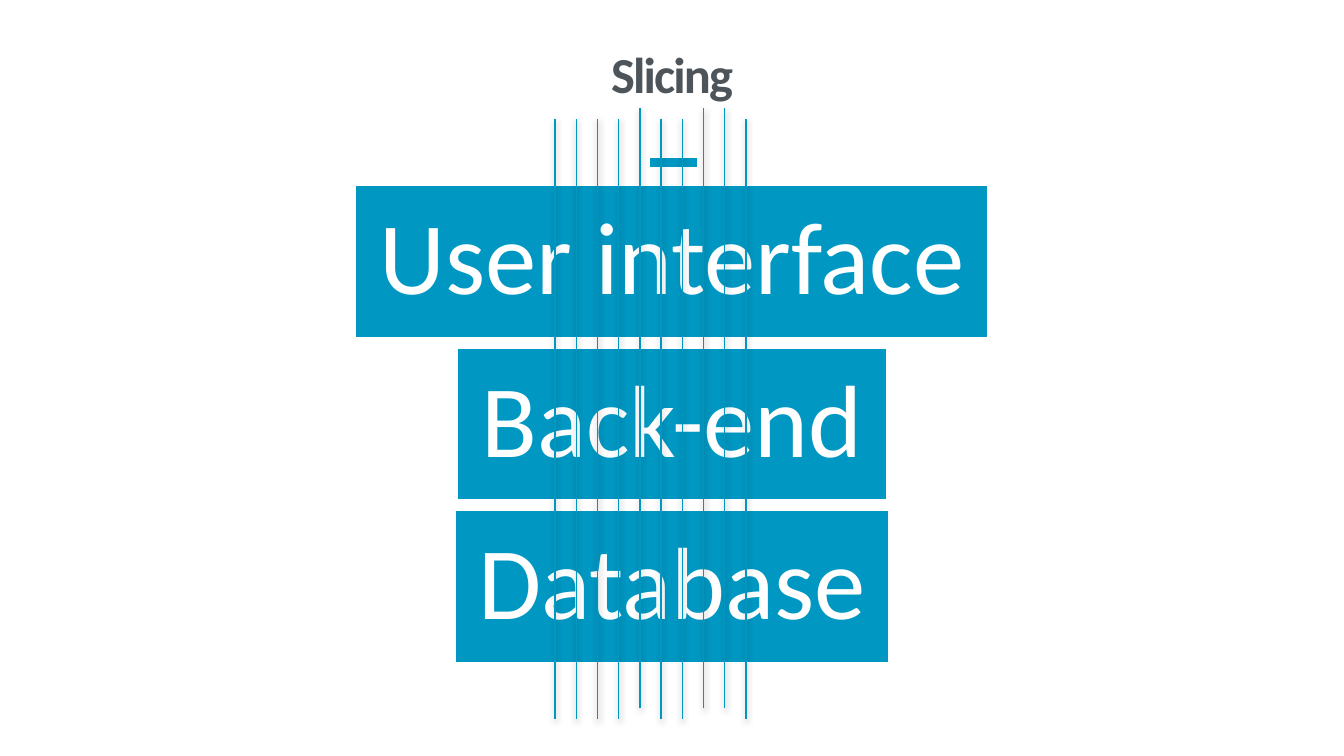
from lxml import etree
from pptx import Presentation
from pptx.dml.color import RGBColor
from pptx.enum.shapes import MSO_CONNECTOR, MSO_SHAPE
from pptx.enum.text import MSO_ANCHOR, MSO_AUTO_SIZE, PP_ALIGN
from pptx.oxml import parse_xml
from pptx.oxml.ns import nsdecls, qn
from pptx.util import Cm, Pt

STRAIGHT = MSO_CONNECTOR.STRAIGHT
RECTANGLE = MSO_SHAPE.RECTANGLE
BOTTOM, MIDDLE = MSO_ANCHOR.BOTTOM, MSO_ANCHOR.MIDDLE
NO_AUTOFIT = MSO_AUTO_SIZE.NONE
CENTER = PP_ALIGN.CENTER

FONT = "Calibri"
COLORS = {"accent": "0098C3", "title": "4D555B", "white": "FFFFFF", "shadow": "000000"}
LAYERS = [("User interface", 12), ("Back-end", 8.15), ("Database", 8.25)]
SLICE_COUNT = 10
RAISED_SLICES = {4, 7, 8}


def color(name):
    """Return the named palette colour."""
    return RGBColor.from_string(COLORS[name])


def style_text(text_frame, text, size, color_name, spacing, anchor):
    """Fill a text frame with one centred paragraph and return its run."""
    text_frame.text = text
    text_frame.word_wrap = True
    text_frame.auto_size = NO_AUTOFIT
    text_frame.vertical_anchor = anchor
    paragraph = text_frame.paragraphs[0]
    paragraph.alignment = CENTER
    paragraph.line_spacing = spacing
    paragraph.space_before = Pt(0)
    run = paragraph.runs[0]
    run.font.name = FONT
    run.font.size = Pt(size)
    run.font.color.rgb = color(color_name)
    return run


def add_line(slide, start, end, width, shadow=False):
    """Draw an accent line between two points in centimetres."""
    line = slide.shapes.add_connector(STRAIGHT, *map(Cm, start + end))
    line.line.color.rgb = color("accent")
    line.line.width = Pt(width)
    effects = etree.SubElement(line._element.spPr, qn("a:effectLst"))
    if shadow:
        effects.append(parse_xml(
            f'<a:outerShdw {nsdecls("a")} blurRad="40000" dist="20000" dir="5400000" '
            f'rotWithShape="0"><a:srgbClr val="{COLORS["shadow"]}">'
            '<a:alpha val="38000"/></a:srgbClr></a:outerShdw>'))


def add_title(slide, left, top, width, height):
    """Place the title and the short accent bar under it."""
    title = slide.shapes.title
    title.left, title.top = Cm(left), Cm(top)
    title.width, title.height = Cm(width), Cm(height)
    run = style_text(title.text_frame, "Slicing", 27, "title", 0.8, BOTTOM)
    run.font.bold = True
    run._r.get_or_add_rPr().set("spc", "-100")
    bar_top = top + height + 1
    add_line(slide, (12.29, bar_top), (13.18, bar_top), 4.5)


def add_layers(slide, left, top, width, height):
    """Stack the application layers, centred in the box."""
    gap = 0.15
    layer_height = (height - gap * (len(LAYERS) - 1)) / len(LAYERS)
    for index, (name, layer_width) in enumerate(LAYERS):
        layer = slide.shapes.add_shape(
            RECTANGLE, Cm(left + (width - layer_width) / 2),
            Cm(top + index * (layer_height + gap)), Cm(layer_width), Cm(layer_height))
        layer.shadow.inherit = False
        layer.fill.solid()
        layer.fill.fore_color.rgb = color("accent")
        layer.line.color.rgb = color("white")
        layer.line.width = Pt(2)
        text_frame = layer.text_frame
        style_text(text_frame, name, 55, "white", 0.9, MIDDLE)
        text_frame.margin_left = text_frame.margin_right = Cm(0.38)
        text_frame.margin_top = text_frame.margin_bottom = Cm(0.38)


def add_slices(slide, left, top, width, height):
    """Cut the layers with evenly spaced vertical lines, some of them raised."""
    pitch = width / (SLICE_COUNT - 1)
    for index in range(SLICE_COUNT):
        x = left + index * pitch
        y = top - (0.2 if index in RAISED_SLICES else 0)
        add_line(slide, (x, y + height), (x, y), 0.75, shadow=True)


def main():
    """Build the slide and save it."""
    presentation = Presentation()
    presentation.slide_width, presentation.slide_height = Cm(25.4), Cm(14.29)
    slide = presentation.slides.add_slide(presentation.slide_layouts[5])
    add_title(slide, 1.1, 0.03, 23.2, 2.04)
    add_layers(slide, 6.7, 3.48, 12, 9.07)
    add_slices(slide, 10.49, 2.24, 3.61, 11.35)
    presentation.save("out.pptx")


if __name__ == "__main__":
    main()
